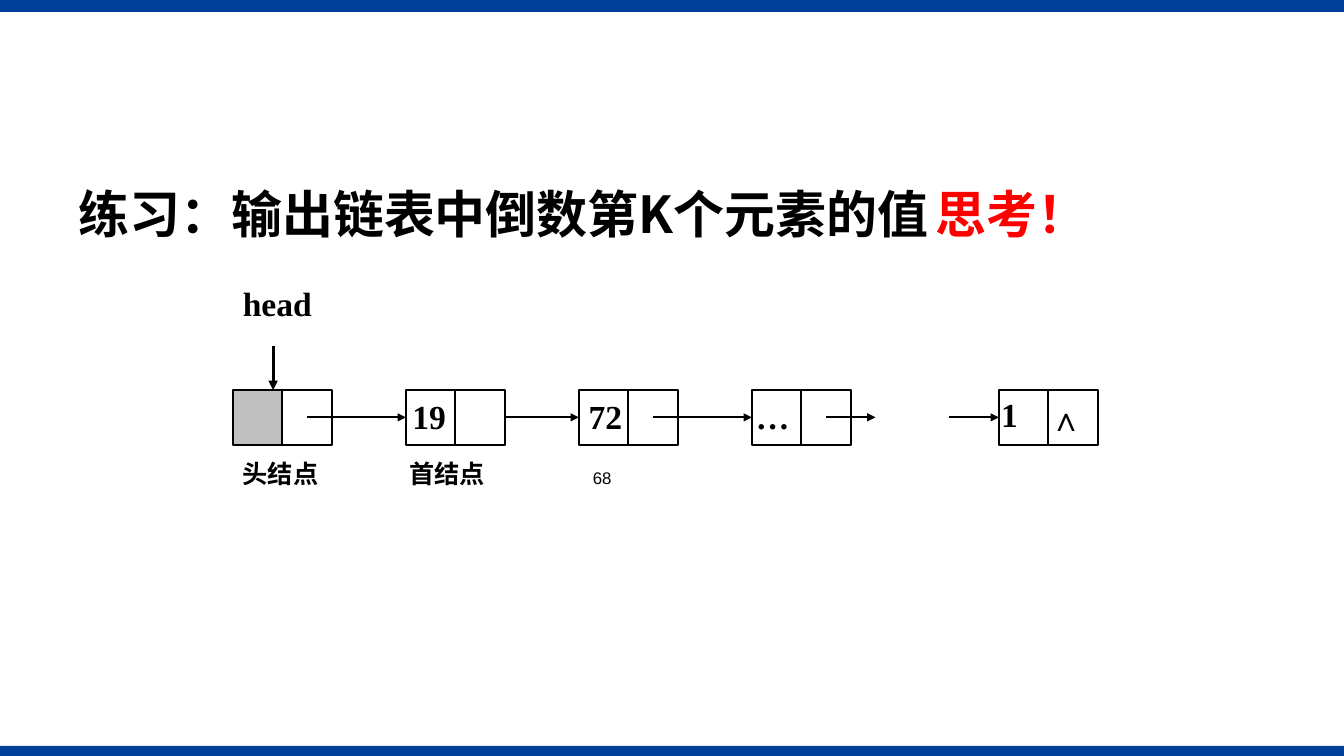
import pptx
import pptx.dml.color
import pptx.enum.shapes
import pptx.enum.text
import pptx.oxml
import pptx.oxml.ns
import pptx.util

Pt = pptx.util.Pt
qn = pptx.oxml.ns.qn
ALIGN = pptx.enum.text.PP_ALIGN


def color(value):
    return pptx.dml.color.RGBColor.from_string(value)


def add_text(p, text, size=24, font="Times New Roman", ea=None, fill="000000", bold=True):
    r = p.add_run()
    r.text = text
    r.font.size = Pt(size)
    r.font.name = font
    r.font.bold = bold
    r.font.color.rgb = color(fill)
    if ea:
        pptx.oxml.ns  # noqa
        rPr = r.font._element
        tag = rPr.makeelement(qn("a:ea"), {"typeface": ea})
        rPr.find(qn("a:latin")).addnext(tag)
    return r


class ListSlide:
    """Holds the style and the current slide of the linked list exercise."""

    ink = "000000"
    band = "004098"
    cjk = "Noto Sans CJK SC"
    cell_w, cell_h, cell_y = 35.3, 39.6, 278.6

    def __init__(self, prs):
        self.slide = prs.slides.add_slide(prs.slide_layouts[1])
        title = self.slide.shapes.title
        title.element.getparent().remove(title.element)

    def rect(self, x, y, w, h, fill=None, line=None):
        sp = self.slide.shapes.add_shape(
            pptx.enum.shapes.MSO_SHAPE.RECTANGLE, Pt(x), Pt(y), Pt(w), Pt(h))
        sp.shadow.inherit = False
        if fill:
            sp.fill.solid()
            sp.fill.fore_color.rgb = color(fill)
        else:
            sp.fill.background()
        if line:
            sp.line.color.rgb = color(line)
            sp.line.width = Pt(1.5)
        else:
            sp.line.fill.background()

    def node(self, x, fill=None):
        self.rect(x, self.cell_y, self.cell_w, self.cell_h, fill, self.ink)
        self.rect(x + self.cell_w, self.cell_y, self.cell_w, self.cell_h, None, self.ink)

    def arrow(self, x1, y1, x2, y2, width=1.5):
        cxn = self.slide.shapes.add_connector(
            pptx.enum.shapes.MSO_CONNECTOR.STRAIGHT, Pt(x1), Pt(y1), Pt(x2), Pt(y2))
        cxn.line.color.rgb = color(self.ink)
        cxn.line.width = Pt(width)
        ln = cxn.line._get_or_add_ln()
        ln.append(ln.makeelement(qn("a:tailEnd"), {"type": "triangle"}))
        ln.addnext(ln.makeelement(qn("a:effectLst"), {}))

    def text(self, x, y, w, h, text, align=ALIGN.JUSTIFY, inset=True, **fmt):
        sp = self.slide.shapes.add_textbox(Pt(x), Pt(y), Pt(w), Pt(h))
        tf = sp.text_frame
        tf.word_wrap = True
        if not inset:
            tf.margin_left = tf.margin_right = tf.margin_top = tf.margin_bottom = 0
        p = tf.paragraphs[0]
        p.alignment = align
        add_text(p, text, **fmt)

    def body(self, x, y, w, h, parts, tab):
        sp = self.slide.placeholders[1]
        sp.left, sp.top, sp.width, sp.height = Pt(x), Pt(y), Pt(w), Pt(h)
        tf = sp.text_frame
        tf.auto_size = pptx.enum.text.MSO_AUTO_SIZE.NONE
        p = tf.paragraphs[0]
        p.space_before = Pt(10)
        p.line_spacing = 0.9
        pPr = p._p.get_or_add_pPr()
        pPr.set("marL", "0")
        pPr.set("indent", "0")
        pPr.append(pPr.makeelement(qn("a:buNone"), {}))
        tabs = pPr.makeelement(qn("a:tabLst"), {})
        tabs.append(tabs.makeelement(qn("a:tab"), {"pos": str(Pt(tab)), "algn": "l"}))
        pPr.append(tabs)
        for text, fill in parts:
            add_text(p, text, size=36.4, font=self.cjk, ea=self.cjk, fill=fill)


def main():
    prs = pptx.Presentation()
    prs.slide_width, prs.slide_height = Pt(960), Pt(540)
    s = ListSlide(prs)

    s.rect(0, 532.8, 960, 7.2, s.band)
    s.rect(0, 0, 960, 8.6, s.band)
    s.body(49, 131.8, 830, 59,
           [("练习：输出链表中倒数第K个元素的值\t", s.ink), ("思考！", "FF0000")], tab=648)
    s.text(316, 330.5, 228.3, 36, "68", ALIGN.CENTER, size=12, font="Arial", bold=False)

    head, first, second, middle = [166.3 + 123.6 * i for i in range(4)]
    last = 713.5
    for x, fill in [(head, "C0C0C0"), (first, None), (second, None), (middle, None), (last, None)]:
        s.node(x, fill)

    w, link_y = s.cell_w, 298.1
    for x1, x2 in [(head + 1.5 * w, first), (first + 2 * w, second),
                   (second + 1.5 * w, middle), (middle + 1.5 * w, middle + 2.5 * w),
                   (last - w, last)]:
        s.arrow(x1, link_y, x2, link_y)

    for x, y, value in [(294.5, 283, "19"), (420.5, 283, "72"), (715, 281.5, "1"),
                        (540, 283, "…"), (749.5, 284.4, "∧")]:
        s.text(x, y, 27, 33.8, value, inset=False)

    s.text(head, 198.7, 70.6, 47.5, "head")
    s.arrow(195.1, 247, 195.1, s.cell_y, 2.25)
    for x, label in [(head, "头结点"), (285.1, "首结点")]:
        s.text(x, 324, 73.4, 28.8, label, ALIGN.LEFT, size=18, ea=s.cjk)

    prs.save("out.pptx")


if __name__ == "__main__":
    main()
